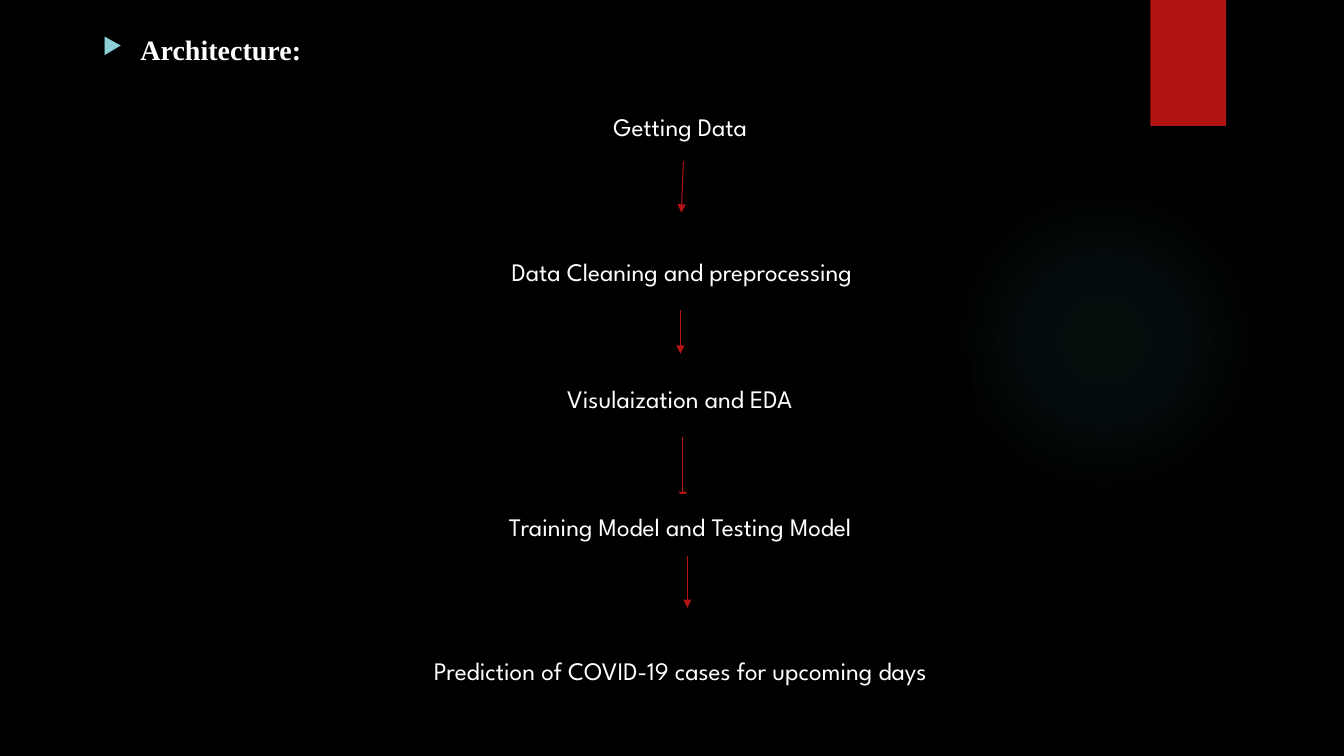
"""Builds the architecture slide: five process steps joined by arrows."""
from lxml import etree
from pptx import Presentation
from pptx import util as u
from pptx.dml.color import RGBColor
from pptx.enum import shapes, text
from pptx.oxml import parse_xml
from pptx.oxml.ns import nsdecls, qn

COLORS = {"black": "000000", "white": "FFFFFF", "red": "B01513",
          "teal": "50B9C1", "bullet": "8AD0D6"}
HEADING = {"name": "Times New Roman", "size": u.Pt(20), "bold": True}
STEP = {"name": "League Spartan", "size": u.Pt(18)}
PROCESS = shapes.MSO_SHAPE.FLOWCHART_PROCESS
RECTANGLE = shapes.MSO_SHAPE.RECTANGLE
BOTTOM = 2


class SlideBuilder:
    def __init__(self, presentation):
        self.slide = presentation.slides.add_slide(presentation.slide_layouts[6])
        self.slide.background.fill.solid()
        self.slide.background.fill.fore_color.rgb = self.color("black")

    def color(self, name):
        return RGBColor.from_string(COLORS[name])

    def shape(self, kind, box, fill, line=None):
        shape = self.slide.shapes.add_shape(kind, *map(u.Pt, box))
        shape.shadow.inherit = False
        shape.fill.solid()
        shape.fill.fore_color.rgb = self.color(fill)
        if line:
            shape.line.color.rgb = self.color(line)
            shape.line.width = u.Pt(1.5)
        else:
            shape.line.fill.background()
        return shape

    def glow(self, box, stops):
        shape = self.shape(shapes.MSO_SHAPE.OVAL, box, "teal")
        stop_xml = "".join(
            f'<a:gs pos="{position * 1000}"><a:srgbClr val="{COLORS["teal"]}">'
            f'<a:alpha val="{alpha * 1000}"/></a:srgbClr></a:gs>'
            for position, alpha in stops)
        gradient = parse_xml(
            f'<a:gradFill {nsdecls("a")} rotWithShape="1"><a:gsLst>{stop_xml}</a:gsLst>'
            '<a:path path="circle"><a:fillToRect l="50000" t="50000" r="50000" b="50000"/>'
            '</a:path></a:gradFill>')
        properties = shape._element.spPr
        properties.replace(properties.find(qn("a:solidFill")), gradient)

    def words(self, paragraph, content, font):
        run = paragraph.add_run()
        run.text = content
        for name, value in font.items():
            setattr(run.font, name, value)
        run.font.color.rgb = self.color("white")

    def heading(self, box, content):
        frame = self.slide.shapes.add_textbox(*map(u.Pt, box)).text_frame
        frame.word_wrap = True
        paragraph = frame.paragraphs[0]
        paragraph.space_before = u.Pt(10)
        self.words(paragraph, content, HEADING)
        properties = paragraph._p.get_or_add_pPr()
        for name, value in {"marL": u.Pt(27), "indent": u.Pt(-27)}.items():
            properties.set(name, str(value))
        color = etree.SubElement(properties, qn("a:buClr"))
        etree.SubElement(color, qn("a:srgbClr"), val=COLORS["bullet"])
        etree.SubElement(properties, qn("a:buSzPct"), val="80000")
        etree.SubElement(properties, qn("a:buChar"), char="▶")

    def step(self, kind, box, content):
        shape = self.shape(kind, box, "black", "black")
        layout = {"word_wrap": True, "vertical_anchor": text.MSO_ANCHOR.MIDDLE}
        for name, value in layout.items():
            setattr(shape.text_frame, name, value)
        paragraph = shape.text_frame.paragraphs[0]
        paragraph.alignment = text.PP_ALIGN.CENTER
        self.words(paragraph, content, STEP)
        return shape

    def arrow(self, ends, source=None):
        connector = self.slide.shapes.add_connector(
            shapes.MSO_CONNECTOR.STRAIGHT, *map(u.Pt, ends))
        if source is not None:
            connector.begin_connect(source, BOTTOM)
        connector.line.color.rgb = self.color("red")
        connector.line.width = u.Pt(0.75)
        line = connector._element.spPr.find(qn("a:ln"))
        etree.SubElement(line, qn("a:tailEnd"), type="triangle")
        etree.SubElement(connector._element.spPr, qn("a:effectLst"))


STEPS = [
    (PROCESS, (281.5, 65.5, 413.3, 49.7), "Getting Data ",
     (488.2, 115.9, 486.7, 151.9), True),
    (RECTANGLE, (283, 160.6, 408.2, 67), "Data Cleaning and preprocessing",
     (486, 221.8, 486, 252.7), False),
    (PROCESS, (283.7, 256.3, 408.2, 56.2), "Visulaization and EDA ",
     (487.8, 312.5, 487.8, 357.1), True),
    (PROCESS, (280.8, 353.5, 414.7, 44.6), "Training Model and Testing Model ",
     (491, 397.4, 491, 434.2), False),
    (PROCESS, (277.9, 439.9, 416.2, 77.8),
     "Prediction of COVID-19 cases for upcoming days", None, False),
]


def main():
    presentation = Presentation()
    presentation.slide_width = u.Pt(960)
    presentation.slide_height = u.Pt(540)
    builder = SlideBuilder(presentation)
    builder.glow((677.5, 131.8, 221.8, 221.8), [(0, 7), (36, 6), (69, 0)])
    builder.shape(RECTANGLE, (821.8, 0, 54, 90), "red")
    builder.heading((66.2, 19.4, 828, 467.3), "Architecture:")
    for kind, box, content, ends, joined in STEPS:
        shape = builder.step(kind, box, content)
        if ends:
            builder.arrow(ends, shape if joined else None)
    presentation.save("out.pptx")


if __name__ == "__main__":
    main()
